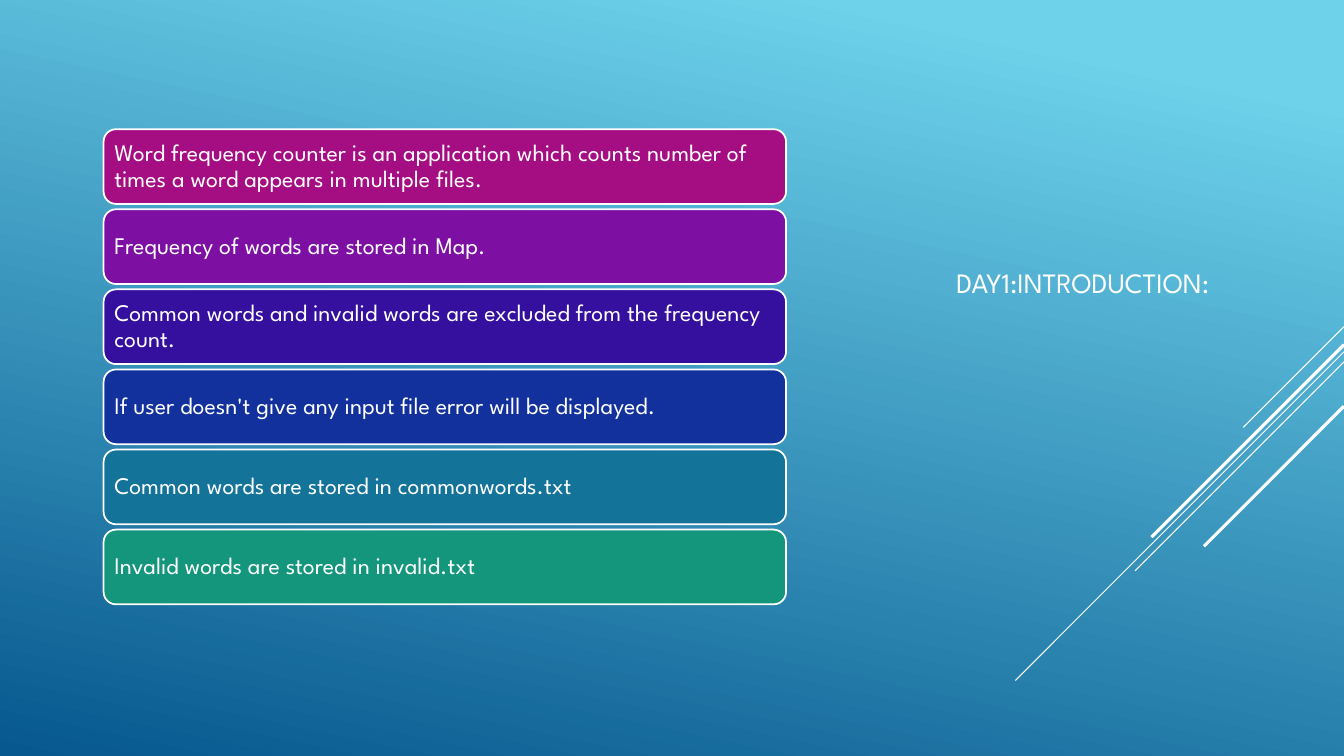
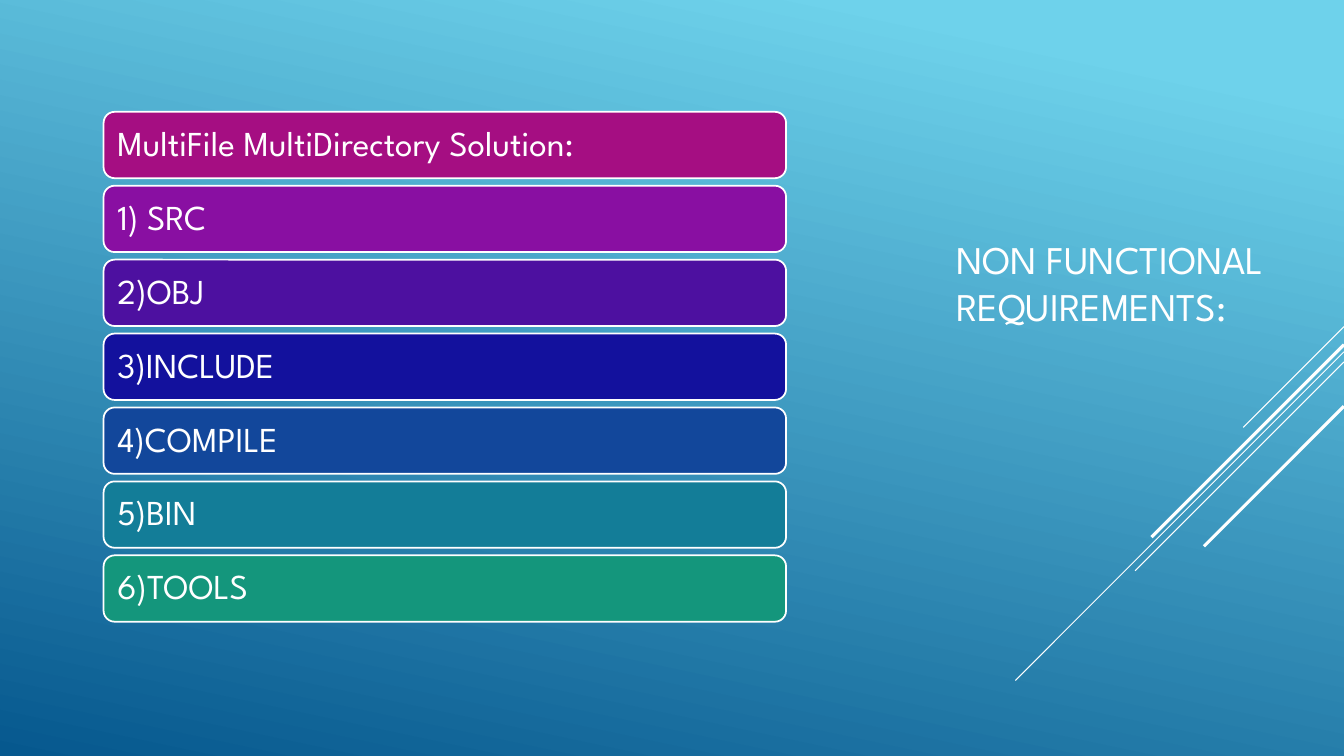
"""Build two slides, each a stack of coloured bars beside a title."""
import colorsys

import lxml.etree
import pptx
import pptx.dml.color
import pptx.enum.shapes
import pptx.enum.text
import pptx.oxml.ns
import pptx.util

Pt = pptx.util.Pt
RGB = pptx.dml.color.RGBColor
MIDDLE = pptx.enum.text.MSO_ANCHOR.MIDDLE
LEFT = pptx.enum.text.PP_ALIGN.LEFT

SLIDES = [
    {
        "title": "DAY1:INTRODUCTION:",
        "head": 20, "size": 17, "high": 53.4, "gap": 3.8,
        "items": [
            "Word frequency counter is an application which counts number of "
            "times a word appears in multiple files.",
            "Frequency of words are stored in Map.",
            "Common words and invalid words are excluded from the frequency count.",
            "If user doesn't give any input file error will be displayed.",
            "Common words are stored in commonwords.txt",
            "Invalid words are stored in invalid.txt",
        ],
    },
    {
        "title": "NON FUNCTIONAL REQUIREMENTS:",
        "head": 28, "size": 25, "high": 47.4, "gap": 5.4,
        "items": [
            "MultiFile MultiDirectory Solution:",
            "1) SRC",
            "2)OBJ",
            "3)INCLUDE",
            "4)COMPILE",
            "5)BIN",
            "6)TOOLS",
        ],
    },
]

THEME = {
    "font": "League Spartan",
    "ink": RGB.from_string("FFFFFF"),
    "sky": [(0.1, "6ED2EB"), (1, "06588E")],
    "angle": 258,
    "first": "A50E82",
    "last": "14967C",
    "edge": 1.25,
    "thin": 0.75,
    "thick": 2.25,
}

WIDE, TALL = 960, 540
TITLE = (676, 74, 240, 255.6)
STACK = {"left": 74, "width": 487.5, "centre": 262}
RAYS = [
    (233.3, 72, "thin"),
    (251.3, 234.7, "thin"),
    (258.5, 149.2, "thin"),
    (246.2, 137.5, "thick"),
    (290.2, 100, "thick"),
]


def style(part, values):
    for name, value in values.items():
        setattr(part, name, value)


def write(shape, text, size, pad, lead):
    frame = shape.text_frame
    style(frame, {"word_wrap": True, "vertical_anchor": MIDDLE, **pad})
    para = frame.paragraphs[0]
    style(para, {"alignment": LEFT, "line_spacing": lead})
    run = para.add_run()
    run.text = text
    style(run.font, {"name": THEME["font"], "size": Pt(size)})
    run.font.color.rgb = THEME["ink"]


def stroke(shape, width):
    shape.line.color.rgb = THEME["ink"]
    shape.line.width = Pt(width)


def blend(count):
    ends = []
    for code in (THEME["first"], THEME["last"]):
        ends.append(colorsys.rgb_to_hls(*(n / 255 for n in RGB.from_string(code))))
    for i in range(count):
        part = i / (count - 1)
        mix = [a + (b - a) * part for a, b in zip(*ends)]
        yield RGB(*(round(n * 255) for n in colorsys.hls_to_rgb(*mix)))


def paint(master):
    fill = master.background.fill
    fill.gradient()
    fill.gradient_angle = THEME["angle"]
    for stop, (place, code) in zip(fill.gradient_stops, THEME["sky"]):
        stop.position = place
        stop.color.rgb = RGB.from_string(code)


def add_rays(slide):
    kind = pptx.enum.shapes.MSO_CONNECTOR.STRAIGHT
    for top, reach, weight in RAYS:
        ends = (WIDE, top, WIDE - reach, top + reach)
        ray = slide.shapes.add_connector(kind, *map(Pt, ends))
        stroke(ray, THEME[weight])
        lxml.etree.SubElement(ray._element.spPr, pptx.oxml.ns.qn("a:effectLst"))


def add_bars(slide, data):
    kind = pptx.enum.shapes.MSO_SHAPE.ROUNDED_RECTANGLE
    items, high, gap = data["items"], data["high"], data["gap"]
    top = STACK["centre"] - (len(items) * (high + gap) - gap) / 2
    inset = Pt(0.3 * data["size"])
    pad = {f"margin_{side}": inset for side in ("left", "top", "right", "bottom")}
    for i, (text, tint) in enumerate(zip(items, blend(len(items)))):
        box = (STACK["left"], top + i * (high + gap), STACK["width"], high)
        bar = slide.shapes.add_shape(kind, *map(Pt, box))
        bar.shadow.inherit = False
        bar.fill.solid()
        bar.fill.fore_color.rgb = tint
        stroke(bar, THEME["edge"])
        write(bar, text, data["size"], pad, 0.9)


def main():
    deck = pptx.Presentation()
    style(deck, {"slide_width": Pt(WIDE), "slide_height": Pt(TALL)})
    paint(deck.slide_master)
    for data in SLIDES:
        slide = deck.slides.add_slide(deck.slide_layouts[6])
        add_rays(slide)
        title = slide.shapes.add_textbox(*map(Pt, TITLE))
        write(title, data["title"], data["head"], {}, 1.0)
        add_bars(slide, data)
    deck.save("out.pptx")


if __name__ == "__main__":
    main()
